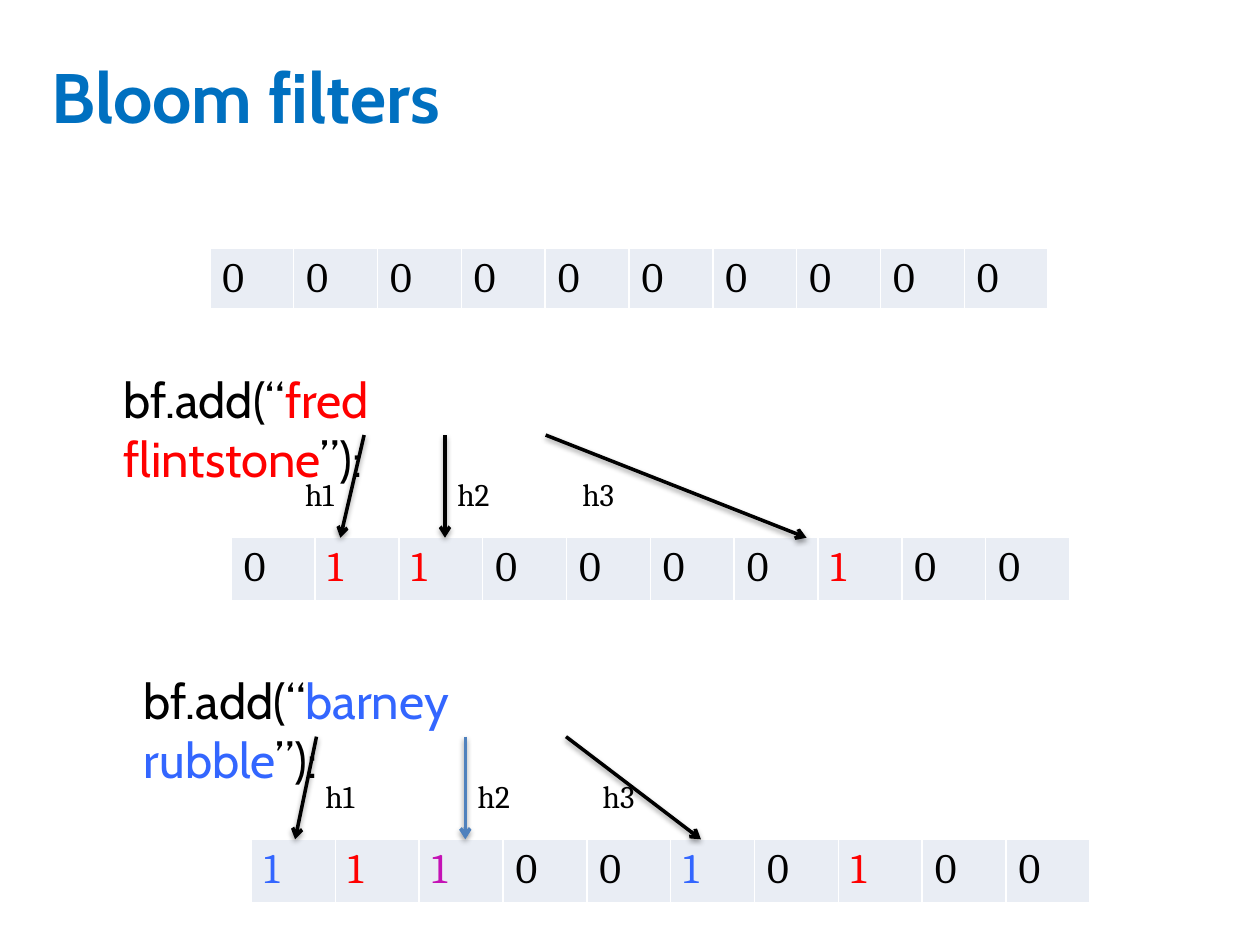
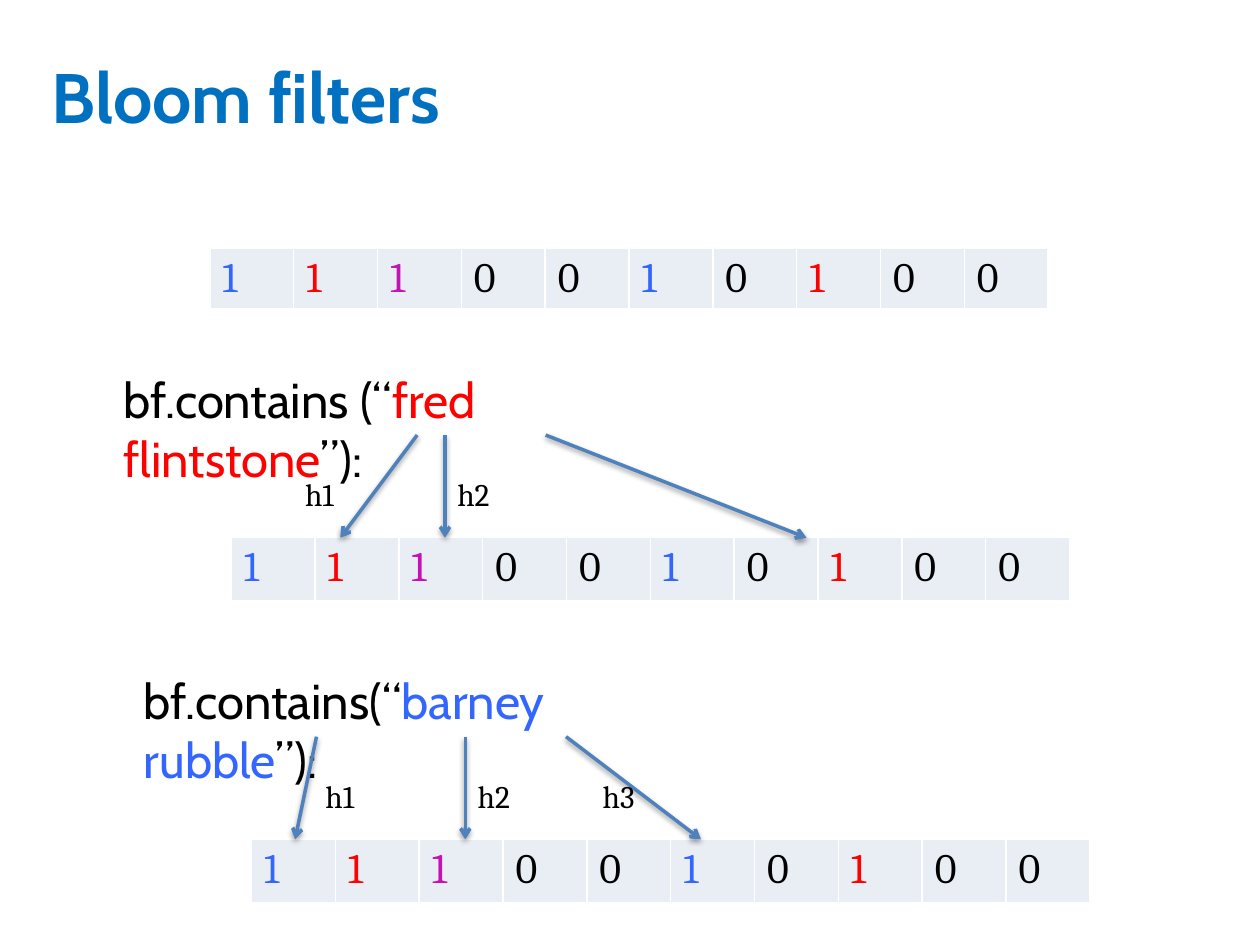
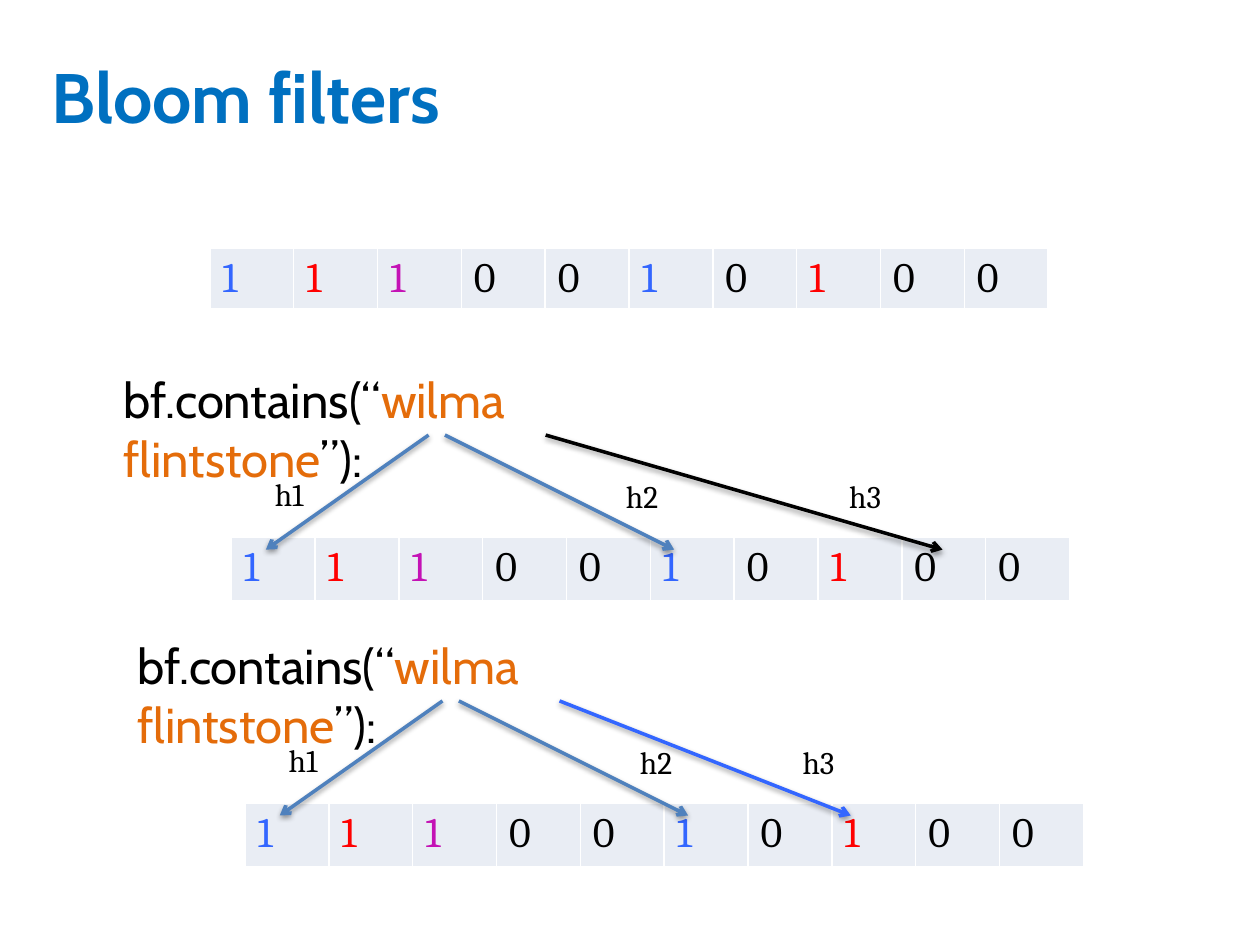
from dataclasses import dataclass

from lxml import etree
from pptx import Presentation
from pptx.dml.color import RGBColor
from pptx.enum.shapes import MSO_CONNECTOR
from pptx.enum.text import MSO_ANCHOR, MSO_AUTO_SIZE, PP_ALIGN
from pptx.oxml.ns import qn
from pptx.slide import Slide
from pptx.util import Cm, Pt

STRAIGHT = MSO_CONNECTOR.STRAIGHT
MIDDLE = MSO_ANCHOR.MIDDLE
FIT_SHAPE = MSO_AUTO_SIZE.SHAPE_TO_FIT_TEXT
NO_FIT = MSO_AUTO_SIZE.NONE
LEFT = PP_ALIGN.LEFT

BLACK = RGBColor(0x00, 0x00, 0x00)
WHITE = RGBColor(0xFF, 0xFF, 0xFF)
TITLE_BLUE = RGBColor(0x00, 0x70, 0xC0)
CELL_FILL = RGBColor(0xE9, 0xED, 0xF4)
RED = RGBColor(0xFF, 0x00, 0x00)
BLUE = RGBColor(0x33, 0x66, 0xFF)
PURPLE = RGBColor(0xC4, 0x12, 0xB5)
ORANGE = RGBColor(0xE4, 0x6C, 0x0A)
STEEL = RGBColor(0x4F, 0x81, 0xBD)

SANS = "Cabin"
SERIF = "Cambria"

# One letter per bit: 0 is unset, any other letter is a 1 in the colour of its setter.
BIT_COLOURS = {"0": BLACK, "f": RED, "b": BLUE, "x": PURPLE}
EMPTY = "0000000000"
FRED_ONLY = "0ff0000f00"
BOTH = "bfx00b0f00"

# Lengths in centimetres
CELL_WIDTH = 1.69
ROW_HEIGHT = 1.04
TABLE_HEIGHT = 1.27
START_TABLE = (4.23, 5.0)
TABLE_OFFSET = (2.42, 3.52)
CALL_HEIGHT = 1.45
LABEL_SIZE = (1.22, 1.02)


@dataclass(frozen=True)
class Arrow:
    start_x: float
    end_x: float
    colour: RGBColor = STEEL
    end_y: float = TABLE_OFFSET[1]


@dataclass(frozen=True)
class Label:
    text: str
    x: float
    y: float = 2.13


@dataclass(frozen=True)
class Operation:
    """A call and the bits it hashes to; arrows and labels are relative to its corner."""
    left: float
    top: float
    width: float
    call: str
    key: str
    key_colour: RGBColor
    bits: str
    arrows: tuple[Arrow, ...]
    labels: tuple[Label, ...]


@dataclass(frozen=True)
class FilterSlide:
    start_bits: str
    operations: tuple[Operation, ...]


UPPER = (2.24, 7.32)
LOWER = (2.65, 13.4)
LOWER_WILMA = (2.52, 12.68)
H1, H2, H3 = Label("h1", 3.66), Label("h2", 6.73), Label("h3", 9.25)


def fred_arrows(h1_start: float, colour: RGBColor) -> tuple[Arrow, ...]:
    return (Arrow(h1_start, 4.62, colour), Arrow(6.73, 6.73, colour),
            Arrow(8.76, 14.02, colour))


def barney_arrows(outer_colour: RGBColor) -> tuple[Arrow, ...]:
    return (Arrow(3.73, 3.3, outer_colour), Arrow(6.73, 6.73),
            Arrow(8.76, 11.48, outer_colour))


def wilma_lookup(corner: tuple[float, float], h3_end: float,
                 h3_colour: RGBColor, h3_label_x: float) -> Operation:
    end_y = 3.76
    return Operation(
        *corner, 12.83, "bf.contains(“", "wilma flintstone", ORANGE, BOTH,
        (Arrow(6.4, 3.12, end_y=end_y), Arrow(6.73, 11.35, end_y=end_y),
         Arrow(8.76, h3_end, h3_colour, end_y)),
        (Label("h1", 3.05), Label("h2", 10.13, 2.18), Label("h3", h3_label_x, 2.17)))


SLIDES = (
    FilterSlide(EMPTY, (
        Operation(*UPPER, 10.21, "bf.add(“", "fred flintstone", RED, FRED_ONLY,
                  fred_arrows(5.1, BLACK), (H1, H2, H3)),
        Operation(*LOWER, 10.13, "bf.add(“", "barney rubble", BLUE, BOTH,
                  barney_arrows(BLACK), (H1, H2, H3)))),
    FilterSlide(BOTH, (
        Operation(*UPPER, 12.37, "bf.contains (“", "fred flintstone", RED, BOTH,
                  fred_arrows(6.17, STEEL), (H1, H2)),
        Operation(*LOWER, 12.07, "bf.contains(“", "barney rubble", BLUE, BOTH,
                  barney_arrows(STEEL), (H1, H2, H3)))),
    FilterSlide(BOTH, (
        wilma_lookup(UPPER, 16.76, BLACK, 14.63),
        wilma_lookup(LOWER_WILMA, 14.63, BLUE, 13.41))),
)


def add_run(p, text: str, font: str, size: int, colour: RGBColor, bold: bool = False) -> None:
    r = p.add_run()
    r.text = text
    r.font.name = font
    r.font.size = Pt(size)
    r.font.bold = bold
    r.font.color.rgb = colour


def add_title(s: Slide) -> None:
    title = s.shapes.title
    title.left, title.top, title.width, title.height = Cm(0.79), Cm(0.81), Cm(24.03), Cm(2.24)
    tf = title.text_frame
    tf.auto_size = NO_FIT
    tf.vertical_anchor = MIDDLE
    p = tf.paragraphs[0]
    p.alignment = LEFT
    add_run(p, "Bloom filters", SANS, 40, TITLE_BLUE, bold=True)


def add_text_box(s: Slide, x: float, y: float, width: float, height: float):
    """Return the first paragraph of a new text box."""
    tf = s.shapes.add_textbox(Cm(x), Cm(y), Cm(width), Cm(height)).text_frame
    tf.word_wrap = True
    tf.auto_size = FIT_SHAPE
    return tf.paragraphs[0]


def add_cell_borders(cell) -> None:
    tc_pr = cell._tc.get_or_add_tcPr()
    for side in ("a:lnL", "a:lnR", "a:lnT", "a:lnB"):
        ln = etree.SubElement(tc_pr, qn(side), w=str(Pt(1)))
        fill = etree.SubElement(ln, qn("a:solidFill"))
        etree.SubElement(fill, qn("a:srgbClr"), val=str(WHITE))


def add_bit_table(s: Slide, x: float, y: float, bits: str) -> None:
    frame = s.shapes.add_table(1, len(bits), Cm(x), Cm(y),
                               Cm(CELL_WIDTH * len(bits)), Cm(ROW_HEIGHT))
    table = frame.table
    table.first_row = False
    table.horz_banding = False
    for column, bit in enumerate(bits):
        table.columns[column].width = Cm(CELL_WIDTH)
        cell = table.cell(0, column)
        add_cell_borders(cell)
        cell.fill.solid()
        cell.fill.fore_color.rgb = CELL_FILL
        add_run(cell.text_frame.paragraphs[0], "0" if bit == "0" else "1",
                SERIF, 24, BIT_COLOURS[bit])
    frame.height = Cm(TABLE_HEIGHT)


def add_shadow(sp) -> None:
    effects = etree.SubElement(sp._element.spPr, qn("a:effectLst"))
    shadow = etree.SubElement(effects, qn("a:outerShdw"), blurRad="40000",
                              dist="20000", dir="5400000", rotWithShape="0")
    colour = etree.SubElement(shadow, qn("a:srgbClr"), val=str(BLACK))
    etree.SubElement(colour, qn("a:alpha"), val="38000")


def add_arrow(s: Slide, op: Operation, arrow: Arrow) -> None:
    sp = s.shapes.add_connector(
        STRAIGHT, Cm(op.left + arrow.start_x), Cm(op.top + CALL_HEIGHT),
        Cm(op.left + arrow.end_x), Cm(op.top + arrow.end_y))
    sp.line.color.rgb = arrow.colour
    sp.line.width = Pt(2)
    etree.SubElement(sp.line._get_or_add_ln(), qn("a:tailEnd"), type="arrow")
    add_shadow(sp)


def add_operation(s: Slide, op: Operation) -> None:
    p = add_text_box(s, op.left, op.top, op.width, CALL_HEIGHT)
    for text, colour in ((op.call, BLACK), (op.key, op.key_colour), ("”):", BLACK)):
        add_run(p, text, SANS, 28, colour)
    dx, dy = TABLE_OFFSET
    add_bit_table(s, op.left + dx, op.top + dy, op.bits)
    for arrow in op.arrows:
        add_arrow(s, op, arrow)
    for label in op.labels:
        p = add_text_box(s, op.left + label.x, op.top + label.y, *LABEL_SIZE)
        add_run(p, label.text, SERIF, 18, BLACK)


def main() -> None:
    prs = Presentation()
    prs.slide_width, prs.slide_height = Cm(25.4), Cm(19.05)
    title_only = prs.slide_layouts[5]
    for filter_slide in SLIDES:
        s = prs.slides.add_slide(title_only)
        add_title(s)
        add_bit_table(s, *START_TABLE, filter_slide.start_bits)
        for op in filter_slide.operations:
            add_operation(s, op)
    prs.save("out.pptx")


if __name__ == "__main__":
    main()
